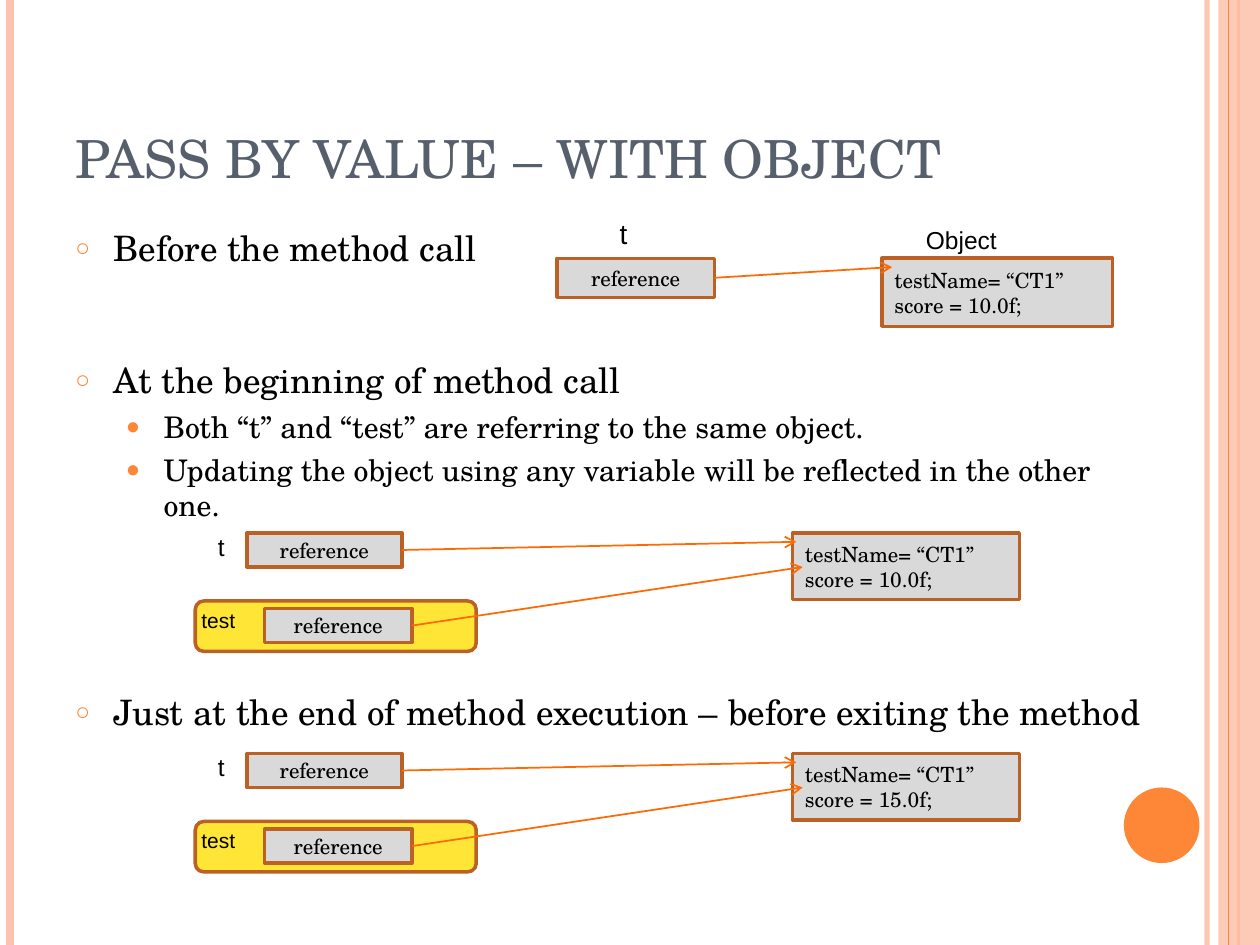
from dataclasses import dataclass

import pptx
import pptx.util
import pptx.dml.color
import pptx.enum.shapes
import pptx.enum.text
import pptx.oxml
import pptx.oxml.ns
from pptx.util import Inches

COLORS = {
    "pale": "FEC3AE", "orange": "FE8637", "arrow": "FF6903", "edge": "BB6126",
    "gray": "D9D9D9", "yellow": "FFE636", "title": "575F6D", "black": "000000",
}
SERIF, SANS = "TeX Gyre Schola", "Arial"
SHAPE = pptx.enum.shapes.MSO_SHAPE
ALIGN = pptx.enum.text.PP_ALIGN
ANCHOR = pptx.enum.text.MSO_ANCHOR


@dataclass
class Box:
    left: float
    top: float
    width: float
    height: float

    def lengths(self) -> list:
        return [Inches(n) for n in (self.left, self.top, self.width, self.height)]


@dataclass
class Bullet:
    text: str
    level: int
    gap: float


@dataclass
class Rule:
    x: float
    color: str
    width: float
    alpha: int = 100


@dataclass
class Call:
    """Memory during the method call: top of the drawing and the score."""
    top: float
    score: str


RULES = [Rule(9.58, "pale", 3, 93), Rule(0.08, "pale", 4.5), Rule(9.83, "orange", 1.5)]
BULLETS = [
    Bullet("Before the method call", 0, 0),
    Bullet("At the beginning of method call", 0, 51.6),
    Bullet("Both “t” and “test” are referring to the same object.", 1, 4.2),
    Bullet("Updating the object using any variable will be reflected in the other one.", 1, 4.2),
    Bullet("Just at the end of method execution – before exiting the method", 0, 96),
]
# Per level: mark, mark size in percent, indent in inches, text size
LEVELS = [("○", 70, 0.3, 20), ("●", 80, 0.7, 17)]
CALLS = [Call(4.23, "10.0f"), Call(5.98, "15.0f")]


def rgb(name: str):
    return pptx.dml.color.RGBColor.from_string(COLORS[name])


def node(parent, tag: str, **attrs):
    item = pptx.oxml.parse_xml(f'<a:{tag} {pptx.oxml.ns.nsdecls("a")}/>')
    for key, value in attrs.items():
        item.set(key, str(value))
    parent.append(item)
    return item


def fade(fill, alpha: int) -> None:
    """Set the opacity, in percent, of a solid fill."""
    color = fill._xPr.find(".//" + pptx.oxml.ns.qn("a:srgbClr"))
    node(color, "alpha", val=alpha * 1000)


def write(frame, text: str, size: float, font: str = SERIF, color: str = "black",
          align=ALIGN.LEFT, anchor=ANCHOR.TOP, wrap: bool = True) -> None:
    frame.word_wrap = wrap
    frame.vertical_anchor = anchor
    frame.text = text
    for para in frame.paragraphs:
        para.alignment = align
        style(para, size, font, color)


def style(para, size: float, font: str, color: str) -> None:
    para.font.size = pptx.util.Pt(size)
    para.font.name = font
    para.font.color.rgb = rgb(color)


def shape(slide, kind, box: Box, fill: str, edge: str = ""):
    item = slide.shapes.add_shape(kind, *box.lengths())
    item.shadow.inherit = False
    item.fill.solid()
    item.fill.fore_color.rgb = rgb(fill)
    if edge:
        item.line.color.rgb = rgb(edge)
        item.line.width = pptx.util.Pt(2)
    else:
        item.line.fill.background()
    return item


def cell(slide, box: Box, text: str, align=ALIGN.LEFT):
    item = shape(slide, SHAPE.RECTANGLE, box, "gray", "edge")
    write(item.text_frame, text, 12, align=align, anchor=ANCHOR.MIDDLE)
    return item


def label(slide, box: Box, text: str, size: float, wrap: bool = False) -> None:
    item = slide.shapes.add_textbox(*box.lengths())
    write(item.text_frame, text, size, font=SANS, wrap=wrap)


def line(slide, start: tuple, end: tuple, color: str, width: float):
    ends = [Inches(n) for n in (*start, *end)]
    item = slide.shapes.add_connector(pptx.enum.shapes.MSO_CONNECTOR.STRAIGHT, *ends)
    item.line.color.rgb = rgb(color)
    item.line.width = pptx.util.Pt(width)
    node(item._element.spPr, "effectLst")
    return item


def point(slide, source, end: tuple) -> None:
    """Draw an arrow from the right side of a reference into an object."""
    item = line(slide, (0, 0), end, "arrow", 1)
    item.begin_connect(source, 3)
    node(item.line._get_or_add_ln(), "tailEnd", type="arrow")


def refer(slide, box: Box):
    return cell(slide, box, "reference", ALIGN.CENTER)


def fields(score: str) -> str:
    return f"testName= “CT1”\nscore = {score};"


def frame(slide) -> None:
    for rule in RULES:
        item = line(slide, (rule.x, 0), (rule.x, 7.5), rule.color, rule.width)
        if rule.alpha < 100:
            fade(item.line.fill, rule.alpha)
    band = shape(slide, SHAPE.RECTANGLE, Box(9.67, 0, 0.33, 7.5), "pale")
    fade(band.fill, 87)
    line(slide, (9.75, 0), (9.75, 7.5), "orange", 0.75)
    shape(slide, SHAPE.OVAL, Box(8.92, 6.25, 0.6, 0.6), "orange")


def outline(slide) -> None:
    body = slide.shapes.add_textbox(*Box(0.5, 1.75, 8.75, 5.33).lengths()).text_frame
    body.word_wrap = True
    body.text = "\n".join(item.text for item in BULLETS)
    for para, item in zip(body.paragraphs, BULLETS):
        mark, scale, indent, size = LEVELS[item.level]
        para.level = item.level
        para.space_before = pptx.util.Pt(item.gap)
        props = para._p.get_or_add_pPr()
        props.set("marL", str(Inches(indent)))
        props.set("indent", str(Inches(-0.3)))
        node(node(props, "buClr"), "srgbClr", val=COLORS["orange"])
        node(props, "buSzPct", val=scale * 1000)
        node(props, "buFont", typeface=SANS)
        node(props, "buChar", char=mark)
        style(para, size, SERIF, "black")


def before(slide) -> None:
    source = refer(slide, Box(4.42, 2.05, 1.25, 0.31))
    label(slide, Box(4.82, 1.67, 0.26, 0.37), "t", 16)
    cell(slide, Box(7, 2.05, 1.83, 0.54), fields("10.0f"))
    label(slide, Box(7.25, 1.74, 1.33, 0.34), "Object", 14, wrap=True)
    point(slide, source, (7.08, 2.12))


def during(slide, call: Call) -> None:
    top = call.top
    outer = refer(slide, Box(1.96, top, 1.23, 0.27))
    label(slide, Box(1.63, top - 0.06, 0.25, 0.34), "t", 14)
    shape(slide, SHAPE.ROUNDED_RECTANGLE, Box(1.55, top + 0.54, 2.23, 0.4), "yellow", "edge")
    inner = refer(slide, Box(2.1, top + 0.6, 1.17, 0.27))
    label(slide, Box(1.5, top + 0.54, 0.47, 0.3), "test", 12)
    cell(slide, Box(6.29, top, 1.8, 0.53), fields(call.score))
    point(slide, outer, (6.32, top + 0.07))
    point(slide, inner, (6.37, top + 0.27))


def main() -> None:
    deck = pptx.Presentation()
    deck.slide_width, deck.slide_height = Inches(10), Inches(7.5)
    slide = deck.slides.add_slide(deck.slide_layouts[5])
    frame(slide)
    title = slide.shapes.title
    title.left, title.top, title.width, title.height = Box(0.5, 0.3, 8.17, 1.25).lengths()
    write(title.text_frame, "PASS BY VALUE – WITH OBJECT", 30, color="title",
          anchor=ANCHOR.BOTTOM)
    outline(slide)
    before(slide)
    for call in CALLS:
        during(slide, call)
    deck.save("out.pptx")


if __name__ == "__main__":
    main()
